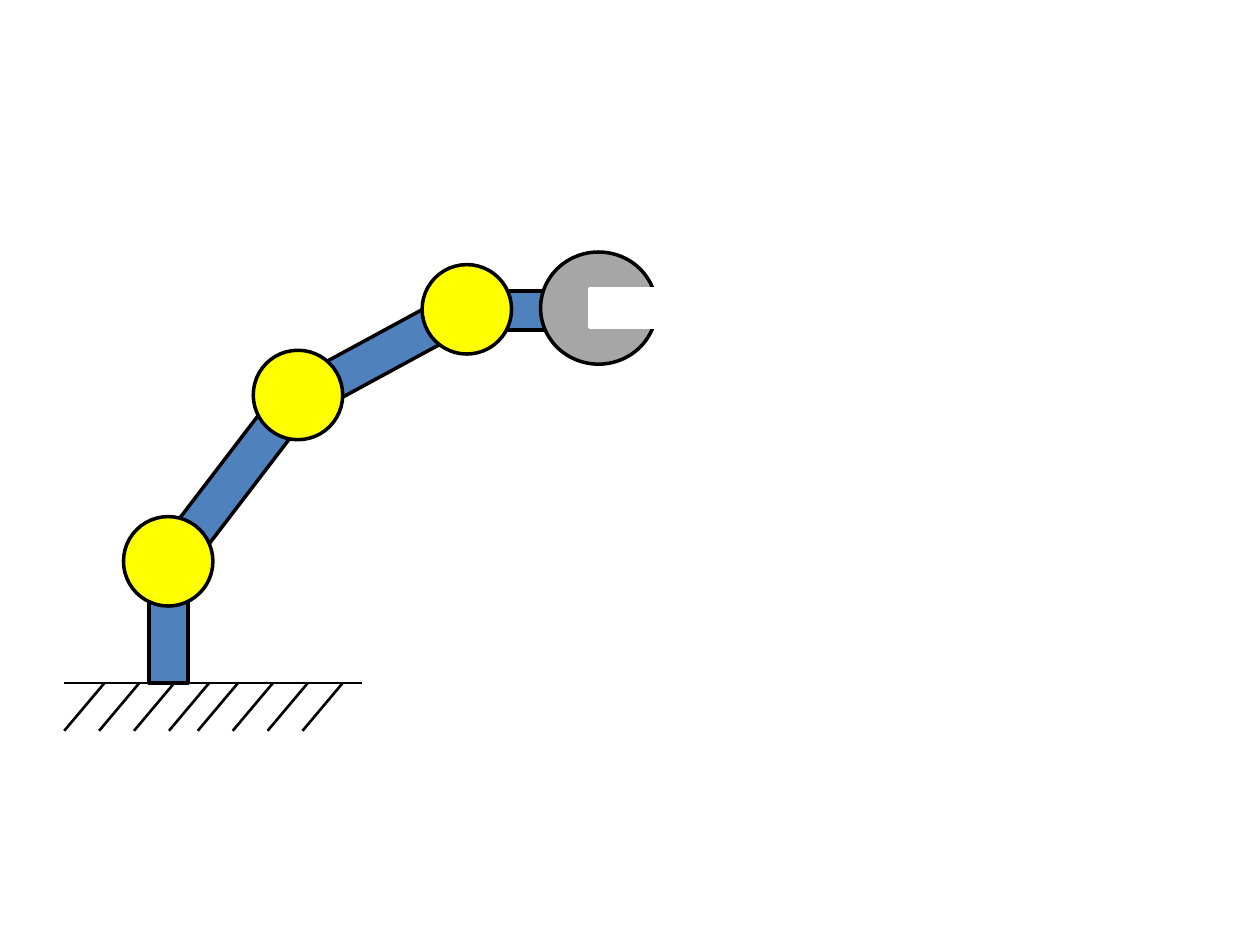
import pptx
import pptx.dml.color
import pptx.enum.shapes
import pptx.util
from lxml import etree
from pptx.oxml.ns import qn
from pptx.util import Inches

COLORS = {
    "link": "4F81BD",
    "joint": "FFFF00",
    "gripper": "A6A6A6",
    "outline": "000000",
    "background": "FFFFFF",
}
RECTANGLE = pptx.enum.shapes.MSO_SHAPE.RECTANGLE
OVAL = pptx.enum.shapes.MSO_SHAPE.OVAL


def color(name):
    return pptx.dml.color.RGBColor.from_string(COLORS[name])


def add_part(shapes, kind, left, top, width, height, fill, outline="outline", rotation=0):
    shape = shapes.add_shape(kind, Inches(left), Inches(top), Inches(width), Inches(height))
    shape.shadow.inherit = False
    shape.fill.solid()
    shape.fill.fore_color.rgb = color(fill)
    shape.line.color.rgb = color(outline)
    shape.line.width = pptx.util.Pt(2)
    shape.rotation = rotation


def add_line(shapes, start_x, start_y, end_x, end_y):
    line = shapes.add_connector(
        pptx.enum.shapes.MSO_CONNECTOR.STRAIGHT,
        Inches(start_x), Inches(start_y), Inches(end_x), Inches(end_y),
    )
    line.line.color.rgb = color("outline")
    line.line.width = pptx.util.Pt(1.5)
    etree.SubElement(line._element.spPr, qn("a:effectLst"))


def add_arm(shapes, left, top):
    """Draw the links, then the joints that cover their ends."""
    short, long, thickness, diameter = 0.89, 1.73, 0.31, 0.71
    links = [
        (-0.09, 2.72, short, 90),
        (2.66, 0.21, short, 0),
        (-0.08, 1.67, long, 307.4),
        (1.19, 0.55, long, 331.5),
    ]
    for x, y, length, rotation in links:
        add_part(shapes, RECTANGLE, left + x, top + y, length, thickness, "link",
                 rotation=rotation)
    for x, y in [(1.03, 0.68), (2.37, 0), (0, 2)]:
        add_part(shapes, OVAL, left + x, top + y, diameter, diameter, "joint")


def add_ground(shapes, left, top, width, height):
    """Draw the floor line with two sets of four hatch strokes below it."""
    add_line(shapes, left, top, left + width, top)
    slant, step = 0.32, 0.277
    for set_start in (0, 1.06):
        for index in range(4):
            foot = left + set_start + index * step
            add_line(shapes, foot + slant, top, foot, top + height)


def add_gripper(shapes, left, top, width, height):
    """Draw a disc with a slot open to the right."""
    group = shapes.add_group_shape()
    add_part(group.shapes, OVAL, left, top, width, height, "gripper")
    add_part(group.shapes, RECTANGLE, left + 0.39, top + 0.29, 0.55, 0.31,
             "background", outline="background")


def main():
    presentation = pptx.Presentation()
    presentation.slide_width = Inches(10)
    presentation.slide_height = Inches(7.5)
    slide = presentation.slides.add_slide(presentation.slide_layouts[6])
    add_arm(slide.shapes, 0.98, 2.1)
    add_ground(slide.shapes, 0.51, 5.42, 2.36, 0.38)
    add_gripper(slide.shapes, 4.29, 2, 0.92, 0.89)
    presentation.save("out.pptx")


if __name__ == "__main__":
    main()
